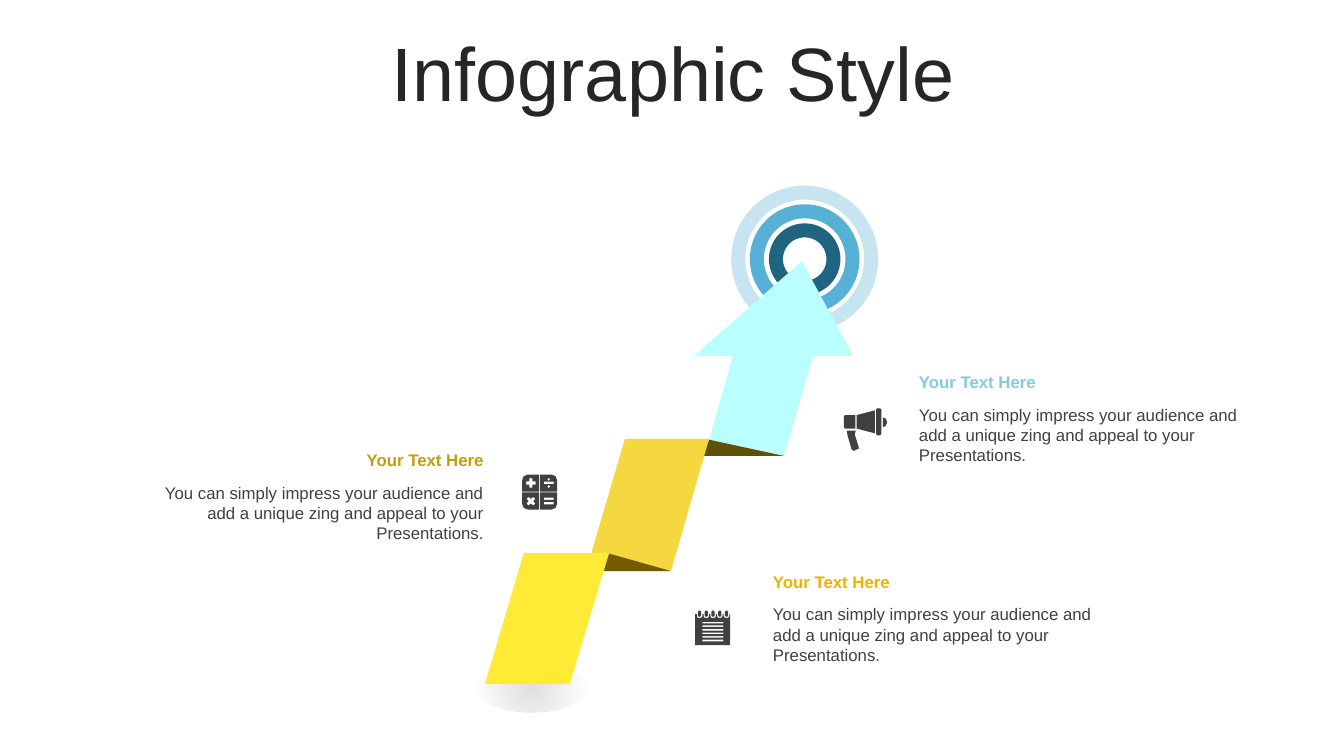
import pptx
import pptx.dml.color
import pptx.enum.shapes
import pptx.enum.text
import pptx.oxml
import pptx.oxml.ns
import pptx.util

Cm, Pt = pptx.util.Cm, pptx.util.Pt
ALIGN = pptx.enum.text.PP_ALIGN
OVAL = pptx.enum.shapes.MSO_SHAPE.OVAL
DARK = "404040"


def rgb(color):
    return pptx.dml.color.RGBColor.from_string(color)


def add_outline(contours, color):
    """Draw closed contours, given in hundredths of a centimetre, as one shape."""
    builder = slide.shapes.build_freeform(*contours[0][0], scale=float(Cm(0.01)))
    for i, points in enumerate(contours):
        if i:
            builder.move_to(*points[0])
        builder.add_line_segments(points[1:], close=True)
    sp = builder.convert_to_shape()
    sp.shadow.inherit = False
    sp.fill.solid()
    sp.fill.fore_color.rgb = rgb(color)
    sp.line.fill.background()


prs = pptx.Presentation()
prs.slide_width, prs.slide_height = Cm(33.87), Cm(19.05)
slide = prs.slides.add_slide(prs.slide_layouts[5])

# Title
title = slide.shapes.title
title.left, title.top, title.width, title.height = Cm(0.89), Cm(0.94), Cm(32.16), Cm(2.01)
tf = title.text_frame
tf.text = "Infographic Style"
tf.word_wrap = True
tf.vertical_anchor = pptx.enum.text.MSO_ANCHOR.MIDDLE
p = tf.paragraphs[0]
p.alignment = ALIGN.CENTER
p.line_spacing = 0.9
font = p.runs[0].font
font.name, font.size = "Arial", Pt(54)
font.color.rgb = rgb("262626")

# Soft ground shadow
sp = slide.shapes.add_shape(OVAL, Cm(12), Cm(16.75), Cm(2.8), Cm(1.2))
sp.shadow.inherit = False
sp.line.fill.background()
sp.fill.gradient()
grad = sp.fill._xPr.find(pptx.oxml.ns.qn("a:gradFill"))
grad.getparent().replace(grad, pptx.oxml.parse_xml(
    '<a:gradFill %s><a:gsLst>'
    '<a:gs pos="0"><a:srgbClr val="E0E0E0"/></a:gs>'
    '<a:gs pos="100000"><a:srgbClr val="FFFFFF"/></a:gs></a:gsLst>'
    '<a:path path="circle"><a:fillToRect l="50000" t="50000" r="50000" b="50000"/></a:path>'
    '</a:gradFill>' % pptx.oxml.ns.nsdecls("a")))

# Target rings around one centre
for size, color in [(3.35, "C7E5F1"), (2.41, "57B0D5"), (1.45, "206481")]:
    sp = slide.shapes.add_shape(OVAL, Cm(20.28 - size / 2), Cm(6.53 - size / 2), Cm(size), Cm(size))
    sp.shadow.inherit = False
    sp.fill.background()
    sp.line.color.rgb = rgb(color)
    sp.line.width = Pt(10)

# Folded ribbon arrow, from the tip down
ribbon = [
    ([(2021, 658), (2150, 897), (2049, 897), (1976, 1149), (1787, 1109), (1847, 897), (1749, 897)],
     "B9FFFF"),
    ([(1787, 1108), (1976, 1149), (1770, 1149)], "5F5007"),
    ([(1575, 1106), (1787, 1106), (1691, 1439), (1477, 1439)], "F5D840"),
    ([(1535, 1395), (1691, 1439), (1515, 1439)], "765A00"),
    ([(1320, 1394), (1535, 1394), (1436, 1724), (1222, 1724)], "FFEB35"),
]
for points, color in ribbon:
    add_outline([points], color)

# Text blocks
body = ("You can simply impress your audience and add a unique zing "
        "and appeal to your Presentations.")
blocks = [
    (19.23, 14.27, "EDB300", ALIGN.LEFT),
    (3.38, 11.2, "BEA00E", ALIGN.RIGHT),
    (22.91, 9.24, "84CADF", ALIGN.LEFT),
]
for left, top, accent, align in blocks:
    for text, dy, height, color, bold in [("Your Text Here", 0, 0.77, accent, True),
                                          (body, 0.83, 1.8, DARK, False)]:
        box = slide.shapes.add_textbox(Cm(left), Cm(top + dy), Cm(9.06), Cm(height))
        tf = box.text_frame
        tf.word_wrap = True
        tf.text = text
        p = tf.paragraphs[0]
        p.alignment = align
        font = p.runs[0].font
        font.name, font.size, font.bold = "Arial", Pt(12), bold
        font.color.rgb = rgb(color)

# Notepad icon: notched sheet, ruled lines, binding bars
sheet = [(1752, 1547)]
bars = []
for i in range(5):
    x = 1763 + 17 * i
    sheet += [(x - 7, 1547), (x - 7, 1553), (x - 4, 1557),
              (x + 4, 1557), (x + 7, 1553), (x + 7, 1547)]
    bars.append([(x - 2, 1539), (x + 2, 1539), (x + 4, 1542), (x + 4, 1551),
                 (x + 2, 1554), (x - 2, 1554), (x - 4, 1551), (x - 4, 1542)])
sheet += [(1840, 1547), (1840, 1626), (1752, 1626)]
rules = [[(1770, y), (1823, y), (1823, y + 4), (1770, y + 4)] for y in range(1567, 1621, 9)]
add_outline([sheet] + rules + bars, DARK)

# Calculator icon: four keys with cut-out signs
key = [(1, 1), (44, 1), (44, 30), (40, 40), (30, 44), (1, 44)]
plus = [(-4, -12), (4, -12), (4, -4), (12, -4), (12, 4), (4, 4),
        (4, 12), (-4, 12), (-4, 4), (-12, 4), (-12, -4), (-4, -4)]
times = [(0.7 * (x - y), 0.7 * (x + y)) for x, y in plus]
dash = [(-12, -3), (12, -3), (12, 3), (-12, 3)]
dot = [(0, -4), (4, 0), (0, 4), (-4, 0)]
calculator = [[(1360 + sx * x, 1240 + sy * y) for x, y in key]
              for sx in (-1, 1) for sy in (-1, 1)]
for sign, cx, cy in [(plus, 1338, 1217), (times, 1338, 1263), (dash, 1383, 1217),
                     (dot, 1383, 1208), (dot, 1383, 1226),
                     (dash, 1383, 1257), (dash, 1383, 1268)]:
    calculator.append([(cx + x, cy + y) for x, y in sign])
add_outline(calculator, DARK)

# Megaphone icon: grip, horn, rim, cap, handle
add_outline([
    [(2130, 1046), (2156, 1046), (2156, 1080), (2130, 1080), (2127, 1077), (2127, 1049)],
    [(2159, 1046), (2205, 1034), (2205, 1092), (2159, 1080)],
    [(2210, 1029), (2218, 1029), (2221, 1032), (2221, 1094),
     (2218, 1097), (2210, 1097), (2208, 1094), (2208, 1032)],
    [(2225, 1052), (2232, 1055), (2236, 1064), (2232, 1073), (2225, 1077)],
    [(2134, 1085), (2157, 1085), (2154, 1094), (2165, 1130),
     (2152, 1136), (2146, 1132), (2136, 1097)],
], DARK)

prs.save("out.pptx")
